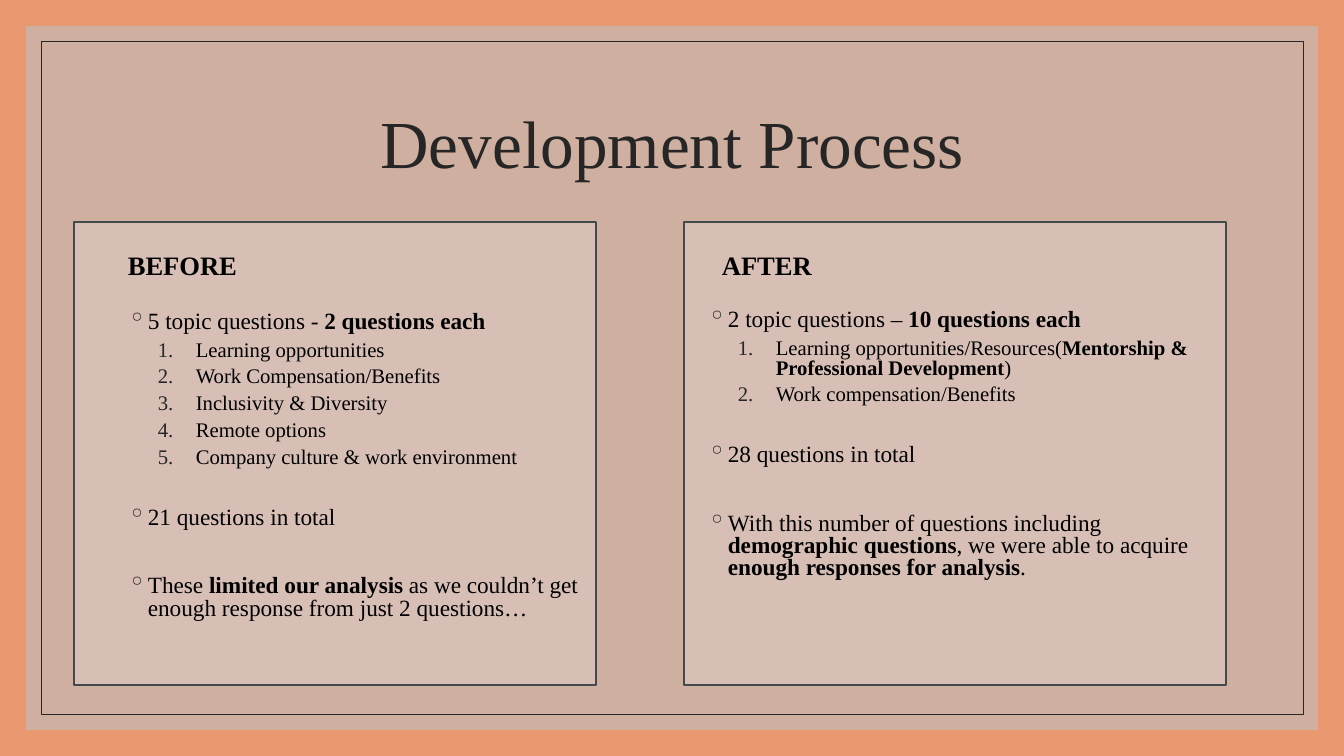
from lxml.etree import SubElement as Sub
from pptx import Presentation as Deck
from pptx.dml.color import RGBColor as Rgb
from pptx.enum.shapes import MSO_SHAPE as Kind
from pptx.enum.text import MSO_ANCHOR as Anchor, PP_ALIGN as Align
from pptx.oxml.ns import qn
from pptx.util import Emu, Pt


def px(num):
    """Turn whole px into EMU."""
    return Emu(round(num * 12192000 / 1344))


def tint(text):
    """Turn a hex string into a colour."""
    return Rgb.from_string(text)


class Page:
    """Hold the style and the current slide."""

    font, ink, dark, edge = "Times New Roman", "000000", "262626", "424A4A"
    back, card = "E9986F", "D8BFB6"

    def __init__(self, deck):
        """Add a title-only slide with a plain background."""
        self.slide = deck.slides.add_slide(deck.slide_layouts[5])
        self.shapes = self.slide.shapes
        fill = self.slide.background.fill
        fill.solid()
        fill.fore_color.rgb = tint(self.back)

    def rect(self, x, y, w, h, fill=None, line=None, width=1, alpha=None):
        """Draw a rectangle."""
        box = self.shapes.add_shape(Kind.RECTANGLE, px(x), px(y), px(w), px(h))
        box.shadow.inherit = False
        if fill:
            box.fill.solid()
            box.fill.fore_color.rgb = tint(fill)
        else:
            box.fill.background()
        if alpha:
            node = box._element.spPr.find(".//" + qn("a:srgbClr"))
            Sub(node, qn("a:alpha"), val=str(alpha * 1000))
        if line:
            box.line.color.rgb = tint(line)
            box.line.width = Pt(width)
        else:
            box.line.fill.background()

    def style(self, para, text, size, color, bold=False):
        """Fill a paragraph, with parts between stars in bold."""
        for spot, part in enumerate(text.split("*")):
            run = para.add_run()
            run.text = part
            run.font.name = self.font
            run.font.size = Pt(size)
            run.font.color.rgb = tint(color)
            run.font.bold = bold or spot % 2 == 1

    def title(self, text, x, y, w, h):
        """Place the title above the frame."""
        box = self.shapes.title
        self.shapes._spTree.append(box._element)
        box.left, box.top, box.width, box.height = map(px, (x, y, w, h))
        frame = box.text_frame
        frame.word_wrap = True
        frame.vertical_anchor = Anchor.MIDDLE
        para = frame.paragraphs[0]
        self.style(para, text, 48, self.dark)
        para.alignment = Align.CENTER
        para.line_spacing = 0.9

    def text(self, x, y, w, h, anchor=Anchor.TOP):
        """Add a wrapping text box and return its frame."""
        frame = self.shapes.add_textbox(px(x), px(y), px(w), px(h)).text_frame
        frame.word_wrap = True
        frame.vertical_anchor = anchor
        return frame

    def head(self, text, x, y, w, h):
        """Add a bold heading."""
        para = self.text(x, y, w, h, Anchor.MIDDLE).paragraphs[0]
        self.style(para, text, 19, self.ink, True)

    def mark(self, para, level):
        """Give a paragraph its bullet or number."""
        left, hang = ((20, 20), (68, 38))[level]
        props = para._p.get_or_add_pPr()
        props.set("marL", str(px(left)))
        props.set("indent", str(-px(hang)))
        Sub(Sub(props, qn("a:buClr")), qn("a:srgbClr"), val=self.dark)
        if level:
            Sub(props, qn("a:buAutoNum"), type="arabicPeriod")
        else:
            Sub(props, qn("a:buChar"), char="◦")

    def points(self, items, x, y, w, h):
        """Add a list of (level, space before, text) items."""
        frame = self.text(x, y, w, h)
        for spot, (level, gap, text) in enumerate(items):
            para = frame.add_paragraph() if spot else frame.paragraphs[0]
            para.level = level
            para.line_spacing = 0.8
            para.space_before = Pt(gap)
            self.style(para, text, (16.6, 14.8)[level], self.ink)
            self.mark(para, level)


def order(lead, topics, total, result):
    """Order the points of one card."""
    return [(0, 9, lead), *((1, 5, topic) for topic in topics),
            (0, 27.6, total), (0, 33.3, result)]


def main():
    """Build and save the slide."""
    deck = Deck()
    deck.slide_width, deck.slide_height = px(1344), px(756)
    page = Page(deck)
    page.rect(26, 26, 1292, 704, fill="BFBFBF", alpha=60)
    page.rect(41, 41, 1262, 673, line=page.dark, width=0.5)
    before = order(
        "5 topic questions - *2 questions each",
        ["Learning opportunities", "Work Compensation/Benefits",
         "Inclusivity & Diversity", "Remote options",
         "Company culture & work environment"],
        "21 questions in total",
        "These *limited our analysis *as we couldn’t get enough response "
        "from just 2 questions…")
    after = order(
        "2 topic questions – *10 questions each",
        ["Learning opportunities/Resources("
         "*Mentorship & Professional Development*)",
         "Work compensation/Benefits"],
        "28 questions in total",
        "With this number of questions including *demographic questions*, "
        "we were able to acquire *enough responses for analysis*.")
    cards = [("BEFORE", before, 74, 522, 118, 118, 307),
             ("AFTER", after, 684, 542, 712, 698, 305)]
    for name, items, left, wide, start, inner, top in cards:
        page.rect(left, 222, wide, 463, fill=page.card, line=page.edge)
        page.head(name, start, 229, 514, 71)
        page.points(items, inner, top, 514, 349)
    page.title("Development Process", 118, 71, 1109, 151)
    deck.save("out.pptx")


if __name__ == "__main__":
    main()
